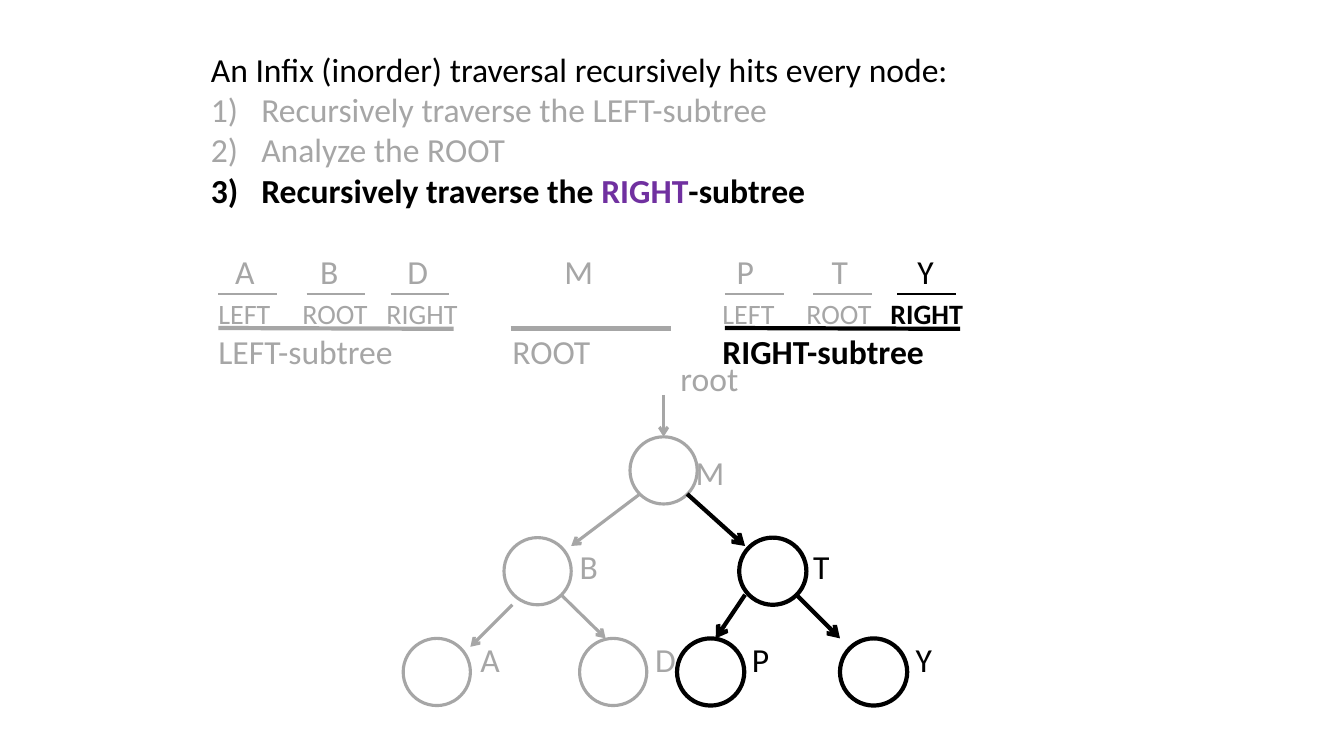
"""Build the inorder traversal slide with its binary tree."""
from dataclasses import dataclass
from typing import Any

from lxml import etree
from pptx import Presentation
from pptx.dml.color import RGBColor
from pptx.enum import shapes, text
from pptx.oxml import ns
from pptx import util as u

COLUMNS, ROWS = 160, 90
WIDTH, HEIGHT = u.Inches(13.33), u.Inches(7.5)
GRAY, BLACK, PURPLE = "A6A6A6", "000000", "7030A0"
NODE_SIZE, LINE_ROWS = 8, 4.8
LETTER_ROW, SIDE_ROW, SUBTREE_ROW = 32.3, 37.3, 41.8
FRAME_FORMAT = {
    "margin_left": 0, "margin_right": 0, "margin_top": 0, "margin_bottom": 0,
    "word_wrap": True, "auto_size": text.MSO_AUTO_SIZE.NONE,
    "vertical_anchor": text.MSO_ANCHOR.MIDDLE,
}
PARAGRAPH_FORMAT = {"alignment": text.PP_ALIGN.LEFT, "space_before": u.Pt(0)}


@dataclass(frozen=True)
class Run:
    words: str
    color: str = GRAY
    bold: bool = False


@dataclass(frozen=True)
class Label:
    column: float
    middle_row: float
    run: Run
    size: int = 24


@dataclass(frozen=True)
class Node:
    column: float
    row: float
    color: str = GRAY


@dataclass(frozen=True)
class Line:
    start: tuple[float, float]
    end: tuple[float, float]
    color: str = GRAY
    weight: float = 3
    arrow: bool = False


@dataclass(frozen=True)
class Subtree:
    column: float
    rule_column: float
    name: str
    letters: tuple[tuple[str, float], ...]
    colors: tuple[str, str, str]
    rule_offsets: tuple[float, float, float]


HEADING = Run("An Infix (inorder) traversal recursively hits every node:", BLACK)
STEPS = [
    [Run("Recursively traverse the LEFT-subtree")],
    [Run("Analyze the ROOT")],
    [Run("Recursively traverse the ", BLACK, True), Run("RIGHT", PURPLE, True),
     Run("-subtree", BLACK, True)],
]
SUBTREES = [
    Subtree(26, 26, "LEFT", (("A", 2), ("B", 12.1), ("D", 22.5)),
            (GRAY, GRAY, GRAY), (0, 10.5, 20.5)),
    Subtree(86, 86.3, "RIGHT", (("P", 1.7), ("T", 13), ("Y", 23.2)),
            (GRAY, GRAY, BLACK), (0, 10.5, 20.5)),
]
NODES = [
    Node(75, 52), Node(60, 64), Node(88, 64, BLACK), Node(48, 76),
    Node(69, 76), Node(80.6, 76, BLACK), Node(100, 76, BLACK),
]
ARROWS = [
    Line((79, 47), (79, 52), GRAY, 2.25, True),
    Line((76.2, 58.8), (68, 65), GRAY, 2.25, True),
    Line((61, 72), (56, 77), GRAY, 2.25, True),
    Line((66.8, 70.8), (72.1, 76), GRAY, 2.25, True),
    Line((81.8, 58.8), (88.7, 65), BLACK, 3, True),
    Line((88.7, 70.8), (85.2, 76), BLACK, 3, True),
    Line((94.8, 70.8), (100, 76), BLACK, 3, True),
]
TREE_LABELS = [
    (81, 0, Run("root")), (82.8, 1, Run("M")), (69, 2, Run("B")),
    (96.8, 2, Run("T", BLACK)), (57.2, 3, Run("A")), (78, 3, Run("D")),
    (89.5, 3, Run("P", BLACK)), (109, 3, Run("Y", BLACK)),
]


def across(columns: float) -> int:
    """Convert grid columns to a length."""
    return round(WIDTH * columns / COLUMNS)


def down(rows: float) -> int:
    """Convert grid rows to a length."""
    return round(HEIGHT * rows / ROWS)


def color_of(value: str) -> RGBColor:
    """Convert a hex string to a colour."""
    return RGBColor.from_string(value)


def set_format(target: Any, values: dict[str, Any]) -> None:
    """Set each named format value on an object."""
    for name, value in values.items():
        setattr(target, name, value)


def place(shape: Any, column: float, row: float, columns: float, rows: float) -> None:
    """Move and size a shape on the grid and format its text frame."""
    set_format(shape, {"left": across(column), "top": down(row),
                       "width": across(columns), "height": down(rows)})
    set_format(shape.text_frame, FRAME_FORMAT)


def write(paragraph: Any, runs: list[Run], size: int = 24) -> None:
    """Fill a paragraph with formatted runs."""
    set_format(paragraph, PARAGRAPH_FORMAT)
    for item in runs:
        run = paragraph.add_run()
        run.text = item.words
        set_format(run.font, {"name": "Calibri", "size": u.Pt(size), "bold": item.bold})
        run.font.color.rgb = color_of(item.color)


def number(paragraph: Any) -> None:
    """Give a paragraph a hanging number."""
    properties = paragraph._p.get_or_add_pPr()
    indent = u.Inches(0.5)
    properties.set("marL", str(indent))
    properties.set("indent", str(-indent))
    etree.SubElement(properties, ns.qn("a:buFont"), typeface="+mj-lt")
    etree.SubElement(properties, ns.qn("a:buAutoNum"), type="arabicParenR")


def add_label(slide: Any, label: Label) -> None:
    """Add one line of text centred on a grid row."""
    shape = slide.shapes.add_textbox(0, 0, 0, 0)
    place(shape, label.column, label.middle_row - LINE_ROWS / 2, 28, LINE_ROWS)
    write(shape.text_frame.paragraphs[0], [label.run], label.size)


def add_line(slide: Any, line: Line) -> None:
    """Add a rule or an arrow."""
    shape = slide.shapes.add_connector(
        shapes.MSO_CONNECTOR.STRAIGHT, across(line.start[0]), down(line.start[1]),
        across(line.end[0]), down(line.end[1]))
    shape.line.color.rgb = color_of(line.color)
    shape.line.width = u.Pt(line.weight)
    if line.arrow:
        etree.SubElement(shape.line._get_or_add_ln(), ns.qn("a:tailEnd"), type="arrow")
    etree.SubElement(shape._element.spPr, ns.qn("a:effectLst"))


def add_node(slide: Any, node: Node) -> None:
    """Add an open circle for a tree node."""
    shape = slide.shapes.add_shape(
        shapes.MSO_SHAPE.OVAL, across(node.column), down(node.row),
        across(NODE_SIZE), down(NODE_SIZE))
    shape.shadow.inherit = False
    shape.fill.background()
    shape.line.color.rgb = color_of(node.color)
    shape.line.width = u.Pt(2.25 if node.color == GRAY else 3)


def add_subtree(slide: Any, subtree: Subtree) -> None:
    """Add the visited letters, rules and names of one subtree."""
    for index, side in enumerate(("LEFT", "ROOT", "RIGHT")):
        letter, offset = subtree.letters[index]
        color = subtree.colors[index]
        rule = subtree.rule_column + subtree.rule_offsets[index]
        add_label(slide, Label(subtree.column + offset, LETTER_ROW, Run(letter, color)))
        add_label(slide, Label(subtree.column + 10 * index, SIDE_ROW,
                               Run(side, color, color == BLACK), 20))
        add_line(slide, Line((rule, 35), (rule + 7, 35), color, 0.75))
    color = subtree.colors[-1]
    add_label(slide, Label(subtree.column, SUBTREE_ROW,
                           Run(f"{subtree.name}-subtree", color, color == BLACK)))
    add_line(slide, Line((subtree.rule_column, 39.05),
                         (subtree.rule_column + 28, 39.15), color))


def main() -> None:
    """Build and save the slide."""
    presentation = Presentation()
    set_format(presentation, {"slide_width": WIDTH, "slide_height": HEIGHT})
    slide = presentation.slides.add_slide(presentation.slide_layouts[1])
    title, body = slide.shapes.title, slide.placeholders[1]
    place(title, 25.1, 5.8, 110, LINE_ROWS)
    write(title.text_frame.paragraphs[0], [HEADING])
    place(body, 25.1, 5.8 + LINE_ROWS, 110, LINE_ROWS * len(STEPS))
    for index, runs in enumerate(STEPS):
        frame = body.text_frame
        paragraph = frame.add_paragraph() if index else frame.paragraphs[0]
        number(paragraph)
        write(paragraph, runs)
    for subtree in SUBTREES:
        add_subtree(slide, subtree)
    add_label(slide, Label(67.2, LETTER_ROW, Run("M")))
    add_label(slide, Label(61, SUBTREE_ROW, Run("ROOT")))
    add_line(slide, Line((60.8, 39.1), (79.9, 39.1)))
    for node in NODES:
        add_node(slide, node)
    for arrow in ARROWS:
        add_line(slide, arrow)
    for column, level, run in TREE_LABELS:
        add_label(slide, Label(column, 45 + 11.17 * level, run))
    presentation.save("out.pptx")


if __name__ == "__main__":
    main()
